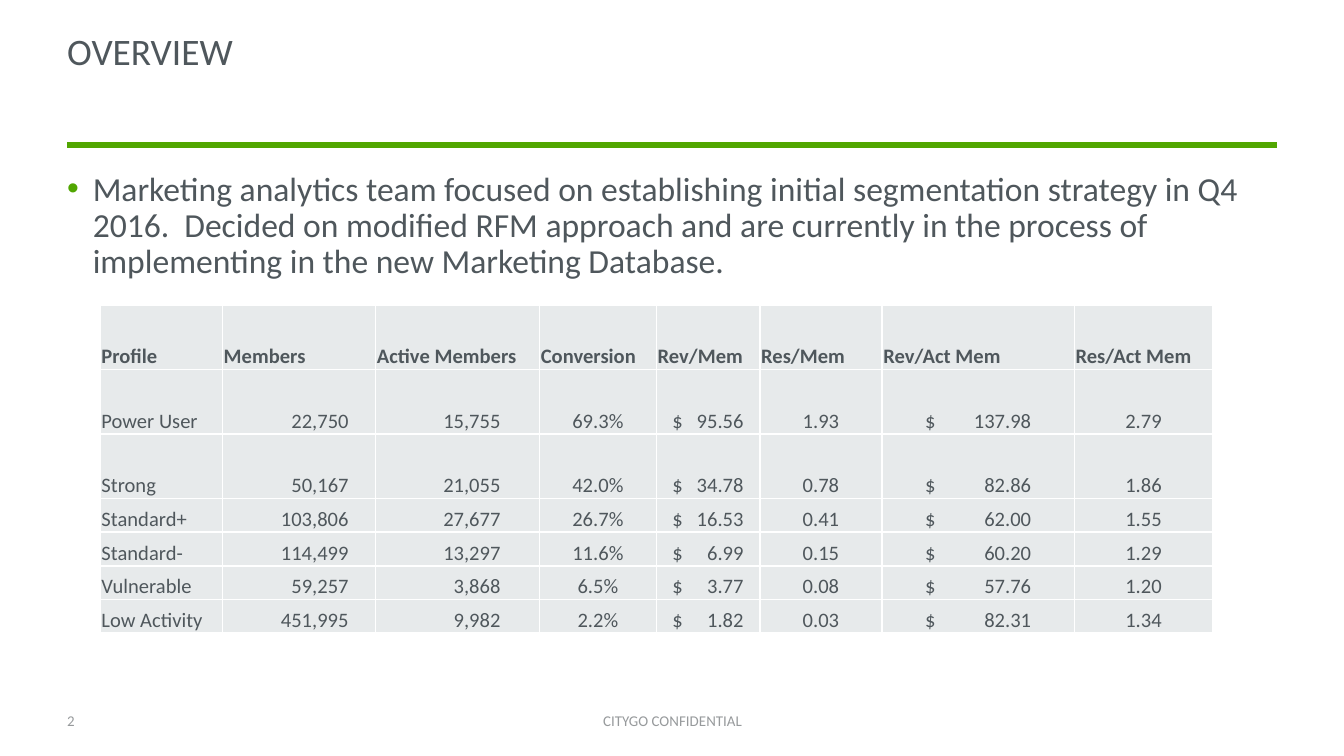
from dataclasses import dataclass

from pptx import Presentation
from pptx.dml.color import RGBColor
from pptx.enum.shapes import MSO_CONNECTOR
from pptx.enum.text import MSO_ANCHOR as Anchor, MSO_AUTO_SIZE as AutoSize, PP_ALIGN as Align
from pptx.oxml.ns import qn
from pptx.util import Inches, Pt
from lxml.etree import SubElement

# Widescreen page, 16 to 9
SLIDE_W = Inches(10)
SLIDE_H = SLIDE_W * 9 // 16


@dataclass(frozen=True)
class Theme:
    font: str = "Calibri"
    text: str = "4F575C"
    accent: str = "51A601"
    muted: str = "979A9C"
    cell: str = "E7EAEB"
    border: str = "FFFFFF"
    title_size: int = 20
    body_size: int = 18
    table_size: int = 11
    footer_size: int = 8


THEME = Theme()

BODY = ("Marketing analytics team focused on establishing initial segmentation strategy "
        "in Q4 2016.  Decided on modified RFM approach and are currently in the process "
        "of implementing in the new Marketing Database.")

PROFILES = [
    ("Profile", "Members", "Active Members", "Conversion",
     "Rev/Mem", "Res/Mem", "Rev/Act Mem", "Res/Act Mem"),
    ("Power User", "22,750", "15,755", "69.3%", "$\t95.56", "1.93", "$\t137.98", "2.79"),
    ("Strong", "50,167", "21,055", "42.0%", "$\t34.78", "0.78", "$\t82.86", "1.86"),
    ("Standard+", "103,806", "27,677", "26.7%", "$\t16.53", "0.41", "$\t62.00", "1.55"),
    ("Standard-", "114,499", "13,297", "11.6%", "$\t6.99", "0.15", "$\t60.20", "1.29"),
    ("Vulnerable", "59,257", "3,868", "6.5%", "$\t3.77", "0.08", "$\t57.76", "1.20"),
    ("Low Activity", "451,995", "9,982", "2.2%", "$\t1.82", "0.03", "$\t82.31", "1.34"),
]
COLUMN_SHARES = (91, 114, 122, 87, 77, 91, 143, 103)
ROW_SHARES = (48, 48, 48, 25, 25, 25, 25)

# Value columns: alignment, left inset, right inset, right tab stop (inches)
CENTRED = (Align.CENTER, 0.01, 0.01, None)
COLUMN_FORMATS = (
    (Align.LEFT, 0.01, 0.01, None),
    (Align.RIGHT, 0.01, 0.2, None),
    (Align.RIGHT, 0.01, 0.29, None),
    CENTRED,
    (Align.LEFT, 0.12, 0.01, 0.53),
    CENTRED,
    (Align.LEFT, 0.32, 0.01, 0.79),
    CENTRED,
)
HEADER_FORMAT = COLUMN_FORMATS[0]


def box(left, top, width, height):
    """Turn percentages of the slide into lengths."""
    return (int(SLIDE_W * left / 100), int(SLIDE_H * top / 100),
            int(SLIDE_W * width / 100), int(SLIDE_H * height / 100))


def apply(target, formats):
    for name, value in formats.items():
        setattr(target, name, value)


def write(paragraph, text, size, color=THEME.text, bold=False):
    run = paragraph.add_run()
    run.text = text
    apply(run.font, dict(name=THEME.font, size=Pt(size), bold=bold))
    run.font.color.rgb = RGBColor.from_string(color)


def place(shape, area):
    apply(shape, dict(zip(("left", "top", "width", "height"), area)))


def format_frame(frame, top=0.05, side=0, anchor=Anchor.TOP):
    apply(frame, dict(
        margin_left=Inches(side), margin_right=Inches(side), margin_top=Inches(top),
        margin_bottom=Inches(0.05), vertical_anchor=anchor, word_wrap=True,
        auto_size=AutoSize.NONE))
    return frame.paragraphs[0]


def add_title(slide, area):
    title = slide.shapes.title
    place(title, area)
    paragraph = format_frame(title.text_frame)
    apply(paragraph, dict(alignment=Align.LEFT, line_spacing=0.8))
    write(paragraph, "OVERVIEW", THEME.title_size)


def add_rule(slide, area):
    left, top, width, height = area
    rule = slide.shapes.add_connector(
        MSO_CONNECTOR.STRAIGHT, left, top, left + width, top + height)
    rule.line.color.rgb = RGBColor.from_string(THEME.accent)
    rule.line.width = Pt(3)
    SubElement(rule._element.spPr, qn("a:effectLst"))


def add_body(slide, area):
    body = slide.placeholders[1]
    place(body, area)
    paragraph = format_frame(body.text_frame, top=0.2)
    # Green bullet with a hanging indent
    properties = paragraph._p.get_or_add_pPr()
    properties.set("marL", str(Inches(0.19)))
    properties.set("indent", str(-Inches(0.19)))
    bullet_color = SubElement(properties, qn("a:buClr"))
    SubElement(bullet_color, qn("a:srgbClr"), val=THEME.accent)
    SubElement(properties, qn("a:buFont"), typeface="Arial")
    SubElement(properties, qn("a:buChar"), char="•")
    apply(paragraph, dict(alignment=Align.LEFT, line_spacing=0.9, space_before=Pt(0)))
    write(paragraph, BODY, THEME.body_size)


def fill_cell(cell, text, cell_format, bold):
    alignment, left, right, tab = cell_format
    apply(cell, dict(
        margin_left=Inches(left), margin_right=Inches(right), margin_top=Inches(0.01),
        margin_bottom=0, vertical_anchor=Anchor.BOTTOM))
    # Borders come before the fill in the cell properties
    properties = cell._tc.get_or_add_tcPr()
    for side in ("lnL", "lnR", "lnT", "lnB"):
        line = SubElement(properties, qn(f"a:{side}"), w=str(Pt(1)))
        SubElement(SubElement(line, qn("a:solidFill")), qn("a:srgbClr"), val=THEME.border)
    cell.fill.solid()
    cell.fill.fore_color.rgb = RGBColor.from_string(THEME.cell)

    paragraph = cell.text_frame.paragraphs[0]
    if tab:
        tabs = SubElement(paragraph._p.get_or_add_pPr(), qn("a:tabLst"))
        SubElement(tabs, qn("a:tab"), pos=str(Inches(tab)), algn="r")
    paragraph.alignment = alignment
    write(paragraph, text, THEME.table_size, bold=bold)


def add_profile_table(slide, area):
    _, _, width, height = area
    table = slide.shapes.add_table(len(PROFILES), len(COLUMN_SHARES), *area).table
    apply(table, dict(first_row=False, horz_banding=False))
    for column, share in zip(table.columns, COLUMN_SHARES):
        column.width = int(width * share / sum(COLUMN_SHARES))
    for row, share in zip(table.rows, ROW_SHARES):
        row.height = int(height * share / sum(ROW_SHARES))
    for r, profile in enumerate(PROFILES):
        for c, text in enumerate(profile):
            header = r == 0
            fill_cell(table.cell(r, c), text,
                      HEADER_FORMAT if header else COLUMN_FORMATS[c], header)


def add_footer_text(slide, area, text, alignment, side):
    frame = slide.shapes.add_textbox(*area).text_frame
    paragraph = format_frame(frame, side=side, anchor=Anchor.MIDDLE)
    paragraph.alignment = alignment
    write(paragraph, text, THEME.footer_size, THEME.muted)


def main():
    deck = Presentation()
    apply(deck, dict(slide_width=SLIDE_W, slide_height=SLIDE_H))
    slide = deck.slides.add_slide(deck.slide_layouts[1])

    add_rule(slide, box(5, 19.2, 90, 0))
    add_body(slide, box(5, 19.2, 90, 27.7))
    add_title(slide, box(5, 4, 90, 5.9))
    add_profile_table(slide, box(7.45, 40.35, 82.8, 43.4))
    add_footer_text(slide, box(34.2, 92.7, 31.7, 5.3), "CITYGO CONFIDENTIAL", Align.CENTER, 0.1)
    add_footer_text(slide, box(5, 92.7, 23.3, 5.3), "2", Align.LEFT, 0)

    deck.save("out.pptx")


if __name__ == "__main__":
    main()
